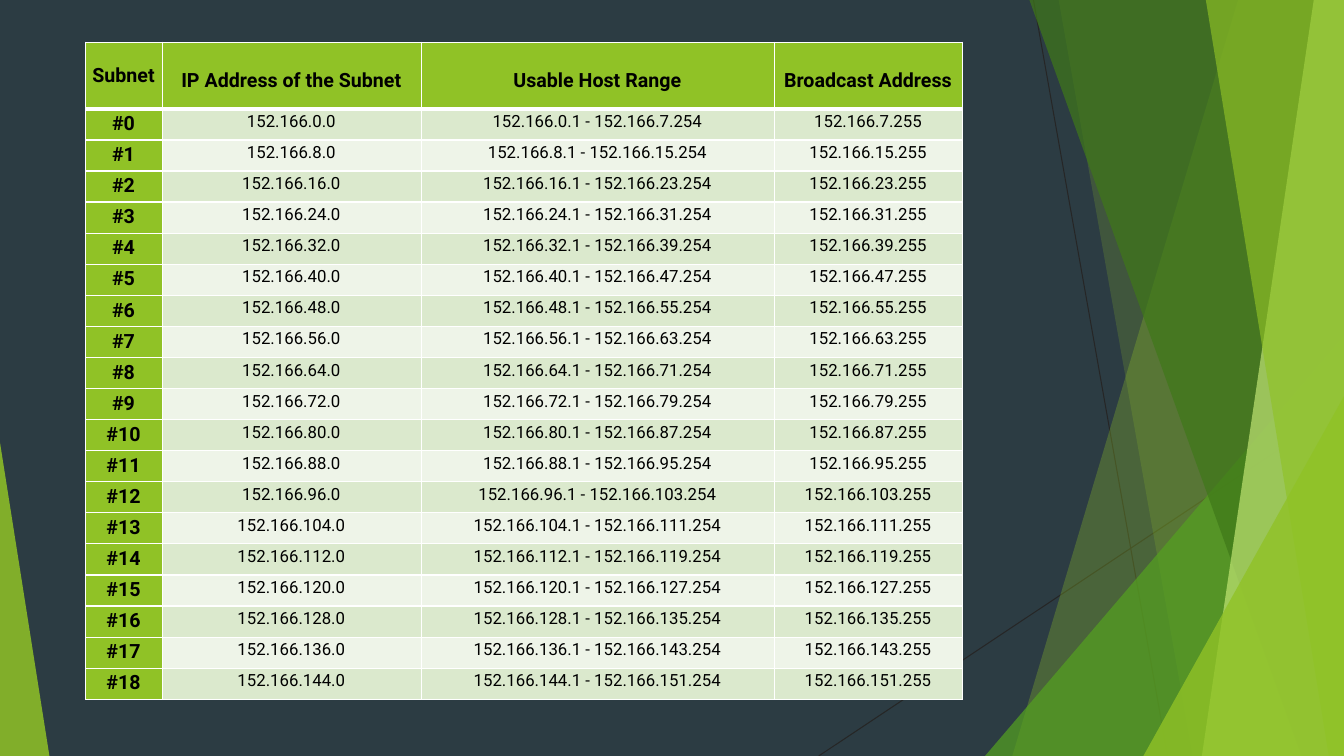
from lxml.etree import SubElement
from pptx import Presentation
from pptx.dml.color import RGBColor
from pptx.enum.shapes import MSO_CONNECTOR, MSO_SHAPE
from pptx.enum.text import PP_ALIGN
from pptx.oxml.ns import qn
from pptx.util import Inches, Pt

GREEN = "90C226"
HEADS = ["Subnet", "IP Address of the Subnet", "Usable Host Range", "Broadcast Address"]
WIDTHS = [0.76, 2.57, 3.5, 1.87]
COUNT = 19
STEP = 8


def paint(target, color):
    target.solid()
    target.fore_color.rgb = RGBColor.from_string(color)


def glaze(shape, color, alpha):
    shape.shadow.inherit = False
    paint(shape.fill, color)
    tint = shape.element.spPr.find(qn("a:solidFill"))[0]
    SubElement(tint, qn("a:alpha"), val=str(alpha * 1000))
    shape.line.fill.background()


def add_line(slide, start, end):
    points = [Inches(n) for n in (*start, *end)]
    line = slide.shapes.add_connector(MSO_CONNECTOR.STRAIGHT, *points)
    paint(line.line.fill, "262626")
    line.line.width = Pt(0.75)
    SubElement(line.element.spPr, qn("a:effectLst"))


def add_wedge(slide, box, upper, lower, color, alpha):
    left, top, width, height = box
    right, base = left + width, top + height
    spots = [(left + upper, top), (right, top), (right, base), (left + lower, base)]
    points = [(Inches(x), Inches(y)) for x, y in spots]
    pen = slide.shapes.build_freeform(*points[0], scale=1.0)
    pen.add_line_segments(points[1:], close=True)
    glaze(pen.convert_to_shape(), color, alpha)


def add_corner(slide, box, peak, color, alpha):
    place = [Inches(n) for n in box]
    shape = slide.shapes.add_shape(MSO_SHAPE.ISOSCELES_TRIANGLE, *place)
    shape.adjustments[0] = peak
    glaze(shape, color, alpha)


def add_facets(slide, box):
    left, top, width, height = box
    right, base = left + width, top + height

    def corner(x, y, color, alpha):
        add_corner(slide, (left + x, top + y, width - x, height - y), 1, color, alpha)

    add_line(slide, (left + 2.13, top), (left + 3.46, base))
    add_line(slide, (right, top + 4.03), (left, base))
    add_wedge(slide, box, 4.16, 1.92, GREEN, 30)
    add_wedge(slide, box, 2.38, 3.71, GREEN, 20)
    corner(1.65, 3.33, "54A021", 72)
    add_wedge(slide, box, 2.09, 4.79, "3F7819", 70)
    add_wedge(slide, box, 4.91, 3.8, "C0E474", 70)
    add_wedge(slide, box, 3.84, 5.06, GREEN, 65)
    corner(3.22, 3.93, GREEN, 80)


def edge_cell(cell, upper, lower):
    props = cell._tc.get_or_add_tcPr()
    for side, size in (("L", 1), ("R", 1), ("T", upper), ("B", lower)):
        edge = SubElement(props, qn("a:ln" + side), w=str(Pt(size)))
        fill = SubElement(edge, qn("a:solidFill"))
        SubElement(fill, qn("a:srgbClr"), val="FFFFFF")


def fill_cell(cell, text, color, size, bold):
    paint(cell.fill, color)
    cell.margin_left, cell.margin_right = Inches(0.03), Inches(0.04)
    cell.margin_top = cell.margin_bottom = 0
    para = cell.text_frame.paragraphs[0]
    para.text = text
    para.alignment = PP_ALIGN.CENTER
    para.line_spacing = 1.15
    font = para.runs[0].font
    font.name, font.size, font.bold = "Roboto", Pt(size), bold
    font.color.rgb = RGBColor.from_string("000000")


def subnet_row(index):
    first = index * STEP
    last = first + STEP - 1
    net = "152.166"
    return [
        f"#{index}",
        f"{net}.{first}.0",
        f"{net}.{first}.1 - {net}.{last}.254",
        f"{net}.{last}.255",
    ]


def add_subnets(slide, box):
    rows = [HEADS] + [subnet_row(index) for index in range(COUNT)]
    place = [Inches(n) for n in box]
    table = slide.shapes.add_table(len(rows), len(HEADS), *place).table
    for column, width in zip(table.columns, WIDTHS):
        column.width = Inches(width)
    head = 0.66
    for r, texts in enumerate(rows):
        table.rows[r].height = Inches(head if r == 0 else (box[3] - head) / COUNT)
        band = "DBE9CD" if r % 2 else "EEF4E8"
        for c, text in enumerate(texts):
            cell = table.cell(r, c)
            bold = r == 0 or c == 0
            edge_cell(cell, 3 if r == 1 else 1, 3 if r == 0 else 1)
            fill_cell(cell, text, GREEN if bold else band, 14 if bold else 12, bold)
            if r == 0:
                cell.margin_top = Inches(0.18 if c == 0 else 0.23)


def main():
    deck = Presentation()
    deck.slide_width, deck.slide_height = Inches(13.33), Inches(7.5)
    slide = deck.slides.add_slide(deck.slide_layouts[6])
    paint(slide.background.fill, "2C3C43")
    add_facets(slide, (8.12, 0, 5.21, 7.5))
    add_corner(slide, (0, 4.39, 0.49, 3.11), 0, GREEN, 85)
    add_subnets(slide, (0.85, 0.42, sum(WIDTHS), 6.52))
    deck.save("out.pptx")


if __name__ == "__main__":
    main()
